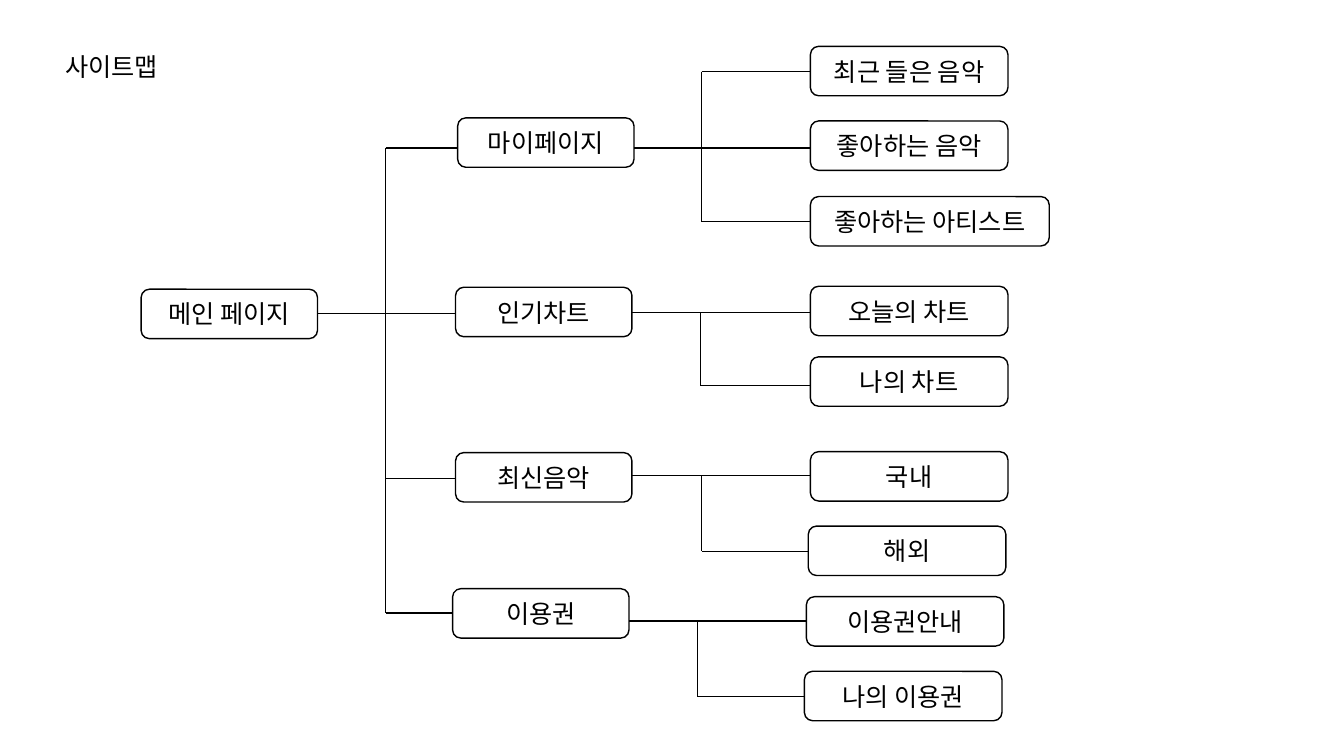
"""Build the site map slide of a music service."""
from pptx import Presentation
from pptx import util as u
from pptx.dml.color import RGBColor
from pptx.enum import shapes, text
from pptx.oxml.ns import qn
from lxml import etree

BLACK = RGBColor(0, 0, 0)
WHITE = RGBColor(255, 255, 255)
NODE_HEIGHT = 35.3
PAGE_WIDTH = 126
LEAF_WIDTH = 141.1
SPINE_X = 275.4
MAIN = ("메인 페이지", 100.8, 206.6)
MAIN_Y = 223.9

BRANCHES = [
    ("마이페이지", 326.9, 84.2, 105.8, 105.8, 501.1, [
        ("최근 들은 음악", 578.9, 33.1, LEAF_WIDTH, 51.1),
        ("좋아하는 음악", 578.9, 86.4, LEAF_WIDTH, 105.8),
        ("좋아하는 아티스트", 578.9, 140.4, 170.6, 158.4)]),
    ("인기차트", 325.4, 205.2, MAIN_Y, 223.2, 500.4, [
        ("오늘의 차트", 578.9, 204.5, LEAF_WIDTH, 223.2),
        ("나의 차트", 578.9, 254.9, LEAF_WIDTH, 275.4)]),
    ("최신음악", 325.4, 323.3, 342, 339.8, 501.1, [
        ("국내", 578.9, 322.6, LEAF_WIDTH, 339.8),
        ("해외", 577.4, 375.8, LEAF_WIDTH, 393.8)]),
    ("이용권", 323.3, 420.5, 437.8, 443.5, 498.2, [
        ("이용권안내", 576, 426.2, LEAF_WIDTH, 443.5),
        ("나의 이용권", 574.6, 479.5, LEAF_WIDTH, 497.5)]),
]


class Sketch:
    """Hold the style and the current slide."""

    def __init__(self, page, font="Noto Sans CJK KR", size=18, weight=1):
        self.page = page
        self.font = font
        self.size = u.Pt(size)
        self.weight = u.Pt(weight)

    def label(self, box, words):
        para = box.text_frame.paragraphs[0]
        span = para.add_run()
        span.text = words
        span.font.name = self.font
        span.font.size = self.size
        span.font.color.rgb = BLACK
        east = etree.SubElement(span.font._element, qn("a:ea"))
        east.set("typeface", self.font)
        return para

    def title(self, words, left, top, width, height):
        box = self.page.shapes.add_textbox(
            u.Pt(left), u.Pt(top), u.Pt(width), u.Pt(height))
        box.text_frame.word_wrap = True
        self.label(box, words)

    def node(self, words, left, top, width):
        box = self.page.shapes.add_shape(
            shapes.MSO_SHAPE.ROUNDED_RECTANGLE,
            u.Pt(left), u.Pt(top), u.Pt(width), u.Pt(NODE_HEIGHT))
        box.shadow.inherit = False
        box.fill.solid()
        box.fill.fore_color.rgb = WHITE
        box.line.color.rgb = BLACK
        box.line.width = self.weight
        box.text_frame.word_wrap = True
        box.text_frame.vertical_anchor = text.MSO_ANCHOR.MIDDLE
        self.label(box, words).alignment = text.PP_ALIGN.CENTER

    def line(self, x1, y1, x2, y2):
        line = self.page.shapes.add_connector(
            shapes.MSO_CONNECTOR.STRAIGHT,
            u.Pt(x1), u.Pt(y1), u.Pt(x2), u.Pt(y2))
        line.line.color.rgb = BLACK
        line.line.width = self.weight
        etree.SubElement(line._element.spPr, qn("a:effectLst"))


deck = Presentation()
deck.slide_width, deck.slide_height = u.Pt(960), u.Pt(540)
sketch = Sketch(deck.slides.add_slide(deck.slide_layouts[6]))

sketch.title("사이트맵", 39.6, 33.1, 153.4, 28.8)
sketch.node(*MAIN, PAGE_WIDTH)
sketch.line(MAIN[1] + PAGE_WIDTH, MAIN_Y, SPINE_X, MAIN_Y)
sketch.line(SPINE_X, BRANCHES[0][3], SPINE_X, BRANCHES[-1][3])

for name, left, top, link_y, stem_y, stem_x, leaves in BRANCHES:
    sketch.line(SPINE_X, link_y, left, link_y)
    sketch.node(name, left, top, PAGE_WIDTH)
    sketch.line(left + PAGE_WIDTH, stem_y, stem_x, stem_y)
    sketch.line(stem_x, leaves[0][-1], stem_x, leaves[-1][-1])
    for leaf, leaf_left, leaf_top, width, line_y in leaves:
        sketch.line(stem_x, line_y, leaf_left, line_y)
        sketch.node(leaf, leaf_left, leaf_top, width)

deck.save("out.pptx")
